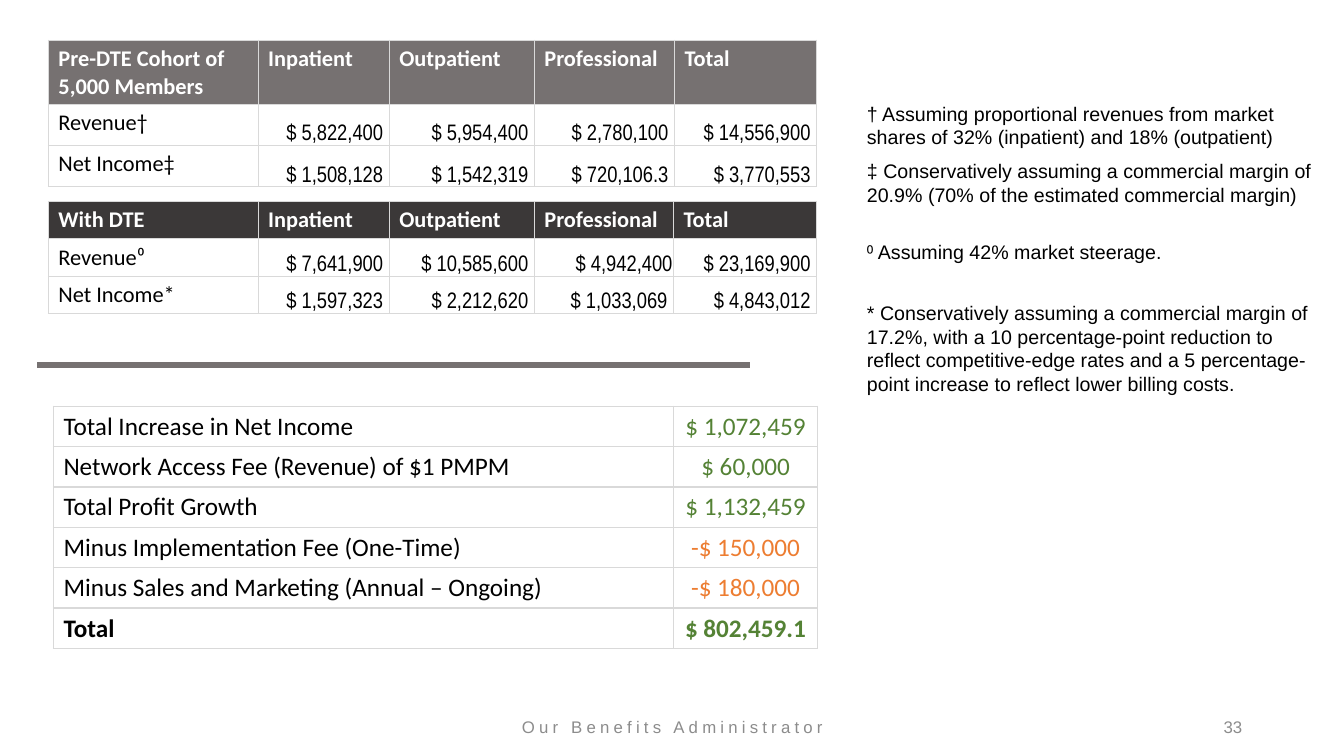
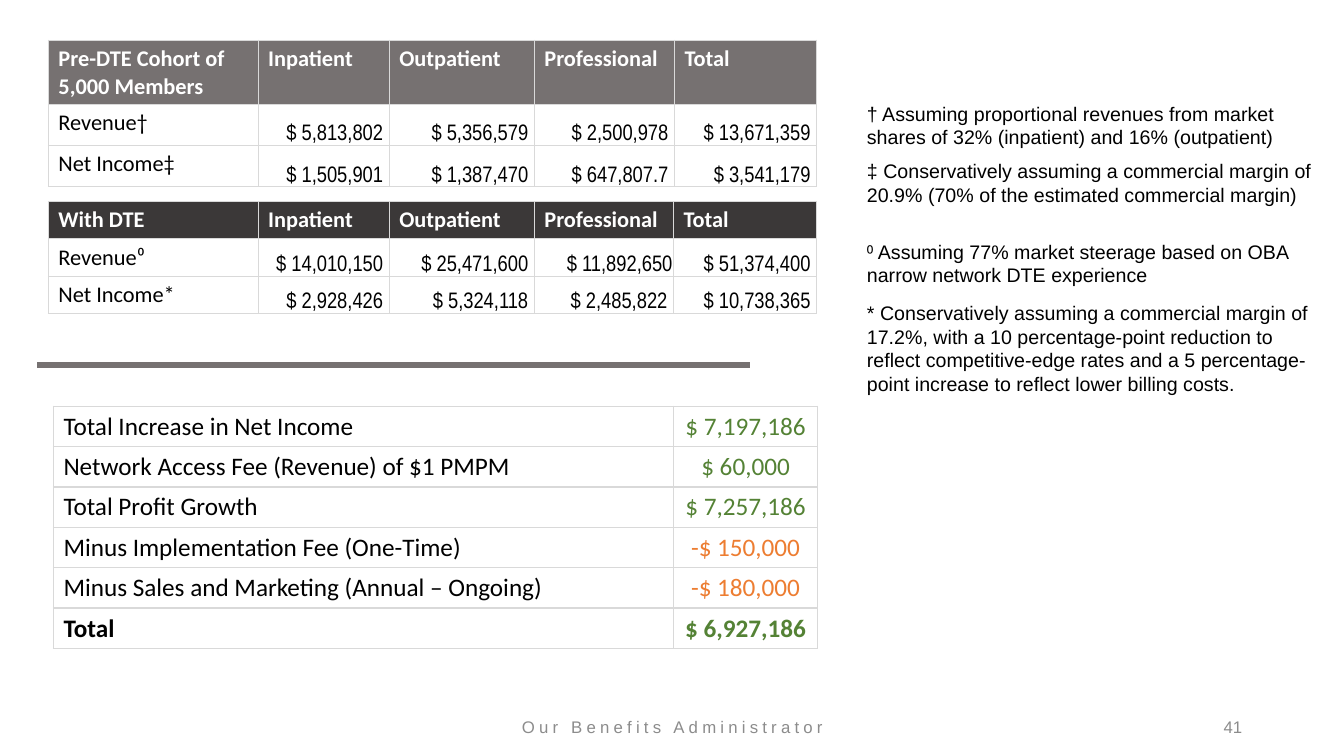
from lxml.etree import SubElement
from pptx import Presentation
from pptx.dml.color import RGBColor
from pptx.enum.shapes import MSO_CONNECTOR as Connector
from pptx.enum.text import MSO_ANCHOR as Anchor, PP_ALIGN as Align
from pptx.oxml.ns import qn
from pptx.util import Inches, Pt

BLACK = RGBColor(0x00, 0x00, 0x00)
WHITE = RGBColor(0xFF, 0xFF, 0xFF)
GRAY = RGBColor(0x76, 0x71, 0x71)
CHARCOAL = RGBColor(0x3B, 0x38, 0x38)
FOOTER_GRAY = RGBColor(0x8C, 0x8C, 0x8C)
BORDER_GRAY = RGBColor(0xD9, 0xD9, 0xD9)
GREEN = RGBColor(0x54, 0x82, 0x35)
ORANGE = RGBColor(0xED, 0x7D, 0x31)

COMPANY = "Our Benefits Administrator"
SERVICES = ["Inpatient", "Outpatient", "Professional", "Total"]
SUMMARY_LABELS = [
    "Total Increase in Net Income",
    "Network Access Fee (Revenue) of $1 PMPM",
    "Total Profit Growth",
    "Minus Implementation Fee (One-Time)",
    "Minus Sales and Marketing (Annual – Ongoing)",
    "Total",
]
NOTE_TOPS = [0.96, 1.53, 2.33, 2.94]
MARGIN_NOTE = ("‡ Conservatively assuming a commercial margin of 20.9% "
               "(70% of the estimated commercial margin)")
DTE_MARGIN_NOTE = (
    "* Conservatively assuming a commercial margin of 17.2%, with a "
    "10 percentage-point reduction to reflect competitive-edge rates and a "
    "5 percentage-point increase to reflect lower billing costs.")

SCENARIOS = [
    {
        "page": "33",
        "before": [
            ["$ 5,822,400", "$ 5,954,400", "$ 2,780,100", "$ 14,556,900"],
            ["$ 1,508,128", "$ 1,542,319", "$ 720,106.3", "$ 3,770,553"],
        ],
        "with_dte": [
            ["$ 7,641,900", "$ 10,585,600", "$ 4,942,400", "$ 23,169,900"],
            ["$ 1,597,323", "$ 2,212,620", "$ 1,033,069", "$ 4,843,012"],
        ],
        "summary": ["$ 1,072,459", "$ 60,000", "$ 1,132,459",
                    "-$ 150,000", "-$ 180,000", "$ 802,459.1"],
        "outpatient_share": "18%",
        "steerage": "42% market steerage.",
    },
    {
        "page": "41",
        "before": [
            ["$ 5,813,802", "$ 5,356,579", "$ 2,500,978", "$ 13,671,359"],
            ["$ 1,505,901", "$ 1,387,470", "$ 647,807.7", "$ 3,541,179"],
        ],
        "with_dte": [
            ["$ 14,010,150", "$ 25,471,600", "$ 11,892,650", "$ 51,374,400"],
            ["$ 2,928,426", "$ 5,324,118", "$ 2,485,822", "$ 10,738,365"],
        ],
        "summary": ["$ 7,197,186", "$ 60,000", "$ 7,257,186",
                    "-$ 150,000", "-$ 180,000", "$ 6,927,186"],
        "outpatient_share": "16%",
        "steerage": ("77% market steerage based on OBA "
                     "narrow network DTE experience"),
    },
]


def write(frame, text, font="Arial", size=14, color=BLACK, bold=False,
          align=Align.LEFT, spacing=None):
    """Put one formatted paragraph in a text frame."""
    paragraph = frame.paragraphs[0]
    paragraph.alignment = align
    run = paragraph.add_run()
    run.text = text
    run.font.name = font
    run.font.size = Pt(size)
    run.font.bold = bold
    run.font.color.rgb = color
    if spacing:
        run.font._element.set("spc", str(spacing * 100))


def border(cell):
    """Draw a thin line on all four sides; lines must precede the fill."""
    properties = cell._tc.get_or_add_tcPr()
    for position, side in enumerate(("lnL", "lnR", "lnT", "lnB")):
        line = SubElement(properties, qn(f"a:{side}"), w=str(Pt(1)))
        fill = SubElement(line, qn("a:solidFill"))
        SubElement(fill, qn("a:srgbClr"), val=str(BORDER_GRAY))
        properties.insert(position, line)


class Deck:
    def __init__(self):
        self.presentation = Presentation()
        self.presentation.slide_width = Inches(13.33)
        self.presentation.slide_height = Inches(7.5)
        self.slide = None

    def add_slide(self, page):
        layout = self.presentation.slide_layouts[6]
        self.slide = self.presentation.slides.add_slide(layout)
        footer = {"size": 12, "color": FOOTER_GRAY, "anchor": Anchor.MIDDLE}
        self.text(4.42, 7.08, 4.5, 0.27, COMPANY, align=Align.CENTER,
                  spacing=3, **footer)
        self.text(9.42, 7.08, 3, 0.27, page, align=Align.RIGHT, **footer)

    def text(self, left, top, width, height, content, anchor=Anchor.TOP,
             **style):
        box = self.slide.shapes.add_textbox(
            Inches(left), Inches(top), Inches(width), Inches(height))
        box.text_frame.word_wrap = True
        box.text_frame.vertical_anchor = anchor
        write(box.text_frame, content, **style)

    def divider(self, left, right, y):
        line = self.slide.shapes.add_connector(
            Connector.STRAIGHT, Inches(left), Inches(y), Inches(right),
            Inches(y))
        line.line.color.rgb = GRAY
        line.line.width = Pt(4.5)
        SubElement(line._element.spPr, qn("a:effectLst"))

    def table(self, left, top, widths, heights):
        table = self.slide.shapes.add_table(
            len(heights), len(widths), Inches(left), Inches(top),
            Inches(sum(widths)), Inches(sum(heights))).table
        for column, width in zip(table.columns, widths):
            column.width = Inches(width)
        for row, height in zip(table.rows, heights):
            row.height = Inches(height)
        return table

    def cell(self, cell, content, fill=WHITE, **style):
        cell.fill.solid()
        cell.fill.fore_color.rgb = fill
        border(cell)
        write(cell.text_frame, content, font=style.pop("font", "Calibri"),
              **style)

    def income_table(self, top, widths, heights, title, labels, amounts,
                     header_fill, flush_cell=None):
        """Services across, revenue and net income down."""
        table = self.table(0.48, top, widths, heights)
        for column, heading in enumerate([title, *SERVICES]):
            self.cell(table.cell(0, column), heading, fill=header_fill,
                      size=16, color=WHITE, bold=True)
        for row, (label, values) in enumerate(zip(labels, amounts), 1):
            self.cell(table.cell(row, 0), label, size=16)
            for column, value in enumerate(values, 1):
                amount = table.cell(row, column)
                flush = (row, column) == flush_cell
                amount.margin_left = amount.margin_top = Inches(0.01)
                amount.margin_right = Inches(0.01 if flush else 0.06)
                amount.margin_bottom = 0
                amount.vertical_anchor = Anchor.BOTTOM
                self.cell(amount, value, font="Arial Narrow", size=16,
                          align=Align.RIGHT)

    def summary_table(self, amounts):
        table = self.table(0.53, 4.03, [6.15, 1.43], [0.4] * len(amounts))
        for row, (label, amount) in enumerate(zip(SUMMARY_LABELS, amounts)):
            bold = label == "Total"
            color = ORANGE if amount.startswith("-") else GREEN
            self.cell(table.cell(row, 0), label, size=18, bold=bold)
            self.cell(table.cell(row, 1), amount, size=18, bold=bold,
                      color=color, align=Align.CENTER)

    def notes(self, notes):
        for top, note in zip(NOTE_TOPS, notes):
            self.text(8.5, top, 4.72, 0.57, note)


def main():
    deck = Deck()
    for scenario in SCENARIOS:
        deck.add_slide(scenario["page"])

        # Income before and with DTE
        deck.income_table(
            0.4, [2.08, 1.3, 1.44, 1.39, 1.41], [0.63, 0.41, 0.41],
            "Pre-DTE Cohort of 5,000 Members", ["Revenue†", "Net Income‡"],
            scenario["before"], GRAY)
        deck.income_table(
            2, [2.08, 1.3, 1.44, 1.38, 1.42], [0.37] * 3,
            "With DTE", ["Revenue⁰", "Net Income*"],
            scenario["with_dte"], CHARCOAL, flush_cell=(1, 3))

        # Profit summary
        deck.divider(0.37, 7.44, 3.62)
        deck.summary_table(scenario["summary"])

        # Assumptions
        deck.notes([
            "† Assuming proportional revenues from market shares of 32% "
            f"(inpatient) and {scenario['outpatient_share']} (outpatient)",
            MARGIN_NOTE,
            f"⁰ Assuming {scenario['steerage']}",
            DTE_MARGIN_NOTE,
        ])
    deck.presentation.save("out.pptx")


if __name__ == "__main__":
    main()
